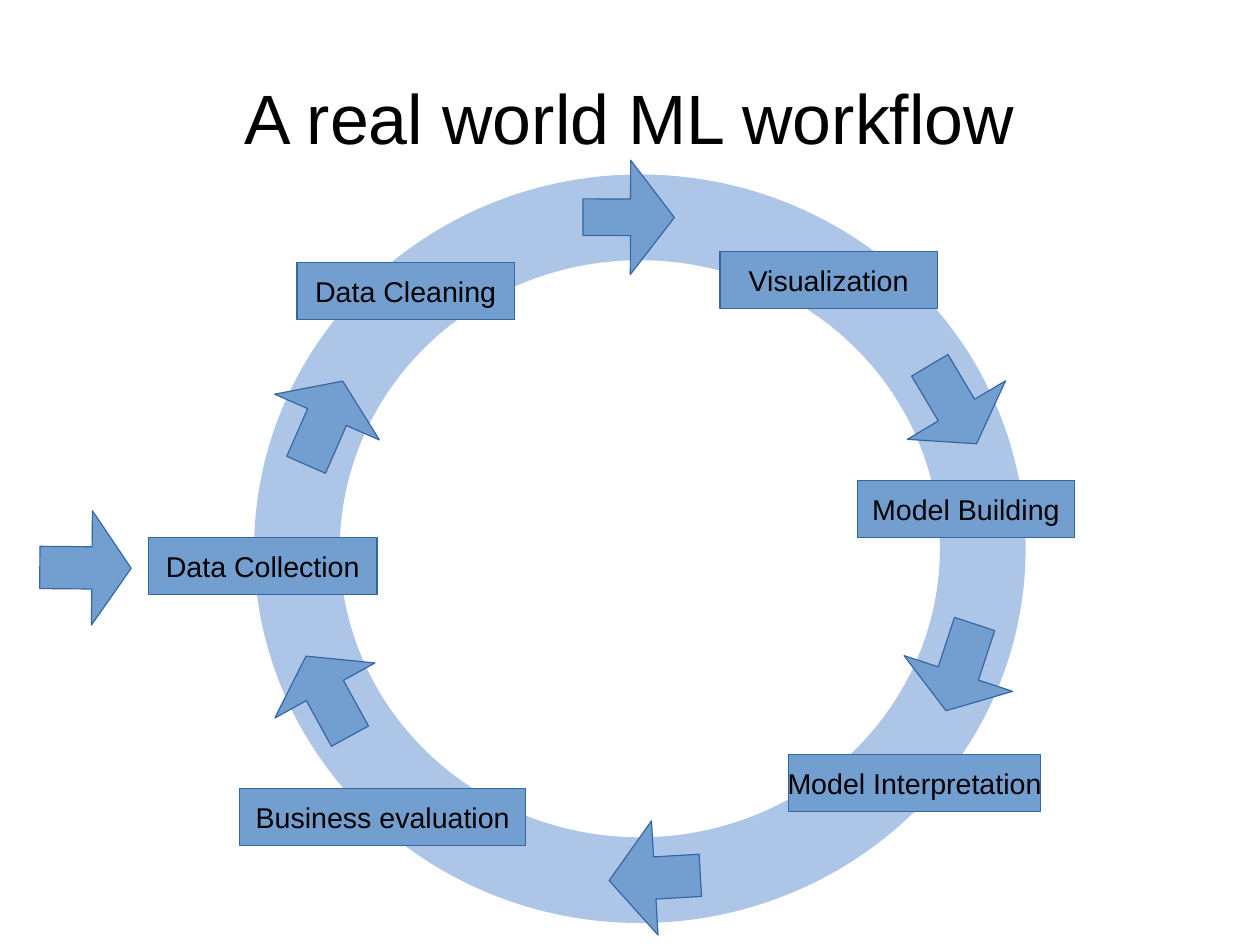
from typing import NamedTuple

from pptx import Presentation
from pptx.dml.color import RGBColor
from pptx.enum.shapes import MSO_SHAPE
from pptx.enum.text import MSO_ANCHOR, PP_ALIGN
from pptx.util import Cm, Pt

FILL, OUTLINE, RING, TEXT = "729FCF", "3465A4", "ADC5E7", "000000"
STEP_HEIGHT = 1.27
ARROW_WIDTH, ARROW_LENGTH = 2.54, 2.03


class Step(NamedTuple):
    label: str
    left: float
    top: float
    width: float


class Arrow(NamedTuple):
    """Centre in cm, turn in degrees from pointing up, shaft and head ratios."""
    x: float
    y: float
    turn: float
    shaft: float = 0.37
    head: float = 0.43


STEPS = [
    Step("Data Collection", 3.3, 11.94, 5.08),
    Step("Data Cleaning", 6.6, 5.84, 4.83),
    Step("Visualization", 16, 5.59, 4.83),
    Step("Model Building", 19.05, 10.67, 4.83),
    Step("Business evaluation", 5.33, 17.53, 6.35),
    Step("Model Interpretation", 17.53, 16.76, 5.59),
]

ARROWS = [
    Arrow(7.21, 9.4, 23.6),
    Arrow(13.97, 4.83, 90.2, shaft=0.32, head=0.48),
    Arrow(14.55, 19.51, 266.7, head=0.5),
    Arrow(21.18, 8.99, 149.2),
    Arrow(7.29, 15.47, 331.2),
    Arrow(1.9, 12.62, 90.5),
    Arrow(21.34, 14.83, 198.2),
]


def color(value: str) -> RGBColor:
    return RGBColor.from_string(value)


def add_outlined(page, kind: MSO_SHAPE, left: float, top: float, width: float,
                 height: float, fill: str | None = FILL,
                 line: str = OUTLINE, line_width: float = 0.75):
    shape = page.shapes.add_shape(kind, Cm(left), Cm(top), Cm(width), Cm(height))
    shape.shadow.inherit = False
    if fill is None:
        shape.fill.background()
    else:
        shape.fill.solid()
        shape.fill.fore_color.rgb = color(fill)
    shape.line.color.rgb = color(line)
    shape.line.width = Pt(line_width)
    return shape


def write_centered(frame, text: str, size: float) -> None:
    frame.vertical_anchor = MSO_ANCHOR.MIDDLE
    para = frame.paragraphs[0]
    para.text = text
    para.alignment = PP_ALIGN.CENTER
    para.font.name = "Arial"
    para.font.size = Pt(size)
    para.font.color.rgb = color(TEXT)


def add_title(page, text: str) -> None:
    box = page.shapes.add_textbox(Cm(1.4), Cm(0.84), Cm(25.2), Cm(3.51))
    frame = box.text_frame
    frame.word_wrap = True
    frame.margin_left = frame.margin_right = Cm(0)
    frame.margin_top = frame.margin_bottom = Cm(0)
    write_centered(frame, text, 44)


def add_step(page, step: Step) -> None:
    box = add_outlined(page, MSO_SHAPE.RECTANGLE, step.left, step.top,
                       step.width, STEP_HEIGHT)
    box.text_frame.word_wrap = False
    write_centered(box.text_frame, step.label, 18)


def add_arrow(page, arrow: Arrow) -> None:
    shape = add_outlined(page, MSO_SHAPE.UP_ARROW, arrow.x - ARROW_WIDTH / 2,
                         arrow.y - ARROW_LENGTH / 2, ARROW_WIDTH, ARROW_LENGTH)
    shape.adjustments[0] = arrow.shaft
    shape.adjustments[1] = arrow.head
    shape.rotation = arrow.turn


def main() -> None:
    deck = Presentation()
    deck.slide_width, deck.slide_height = Cm(28), Cm(21)
    page = deck.slides.add_slide(deck.slide_layouts[6])
    add_outlined(page, MSO_SHAPE.OVAL, 6.6, 4.83, 15.24, 14.73,
                 fill=None, line=RING, line_width=54)
    add_title(page, "A real world ML workflow")
    for step in STEPS:
        add_step(page, step)
    for arrow in ARROWS:
        add_arrow(page, arrow)
    deck.save("out.pptx")


if __name__ == "__main__":
    main()
